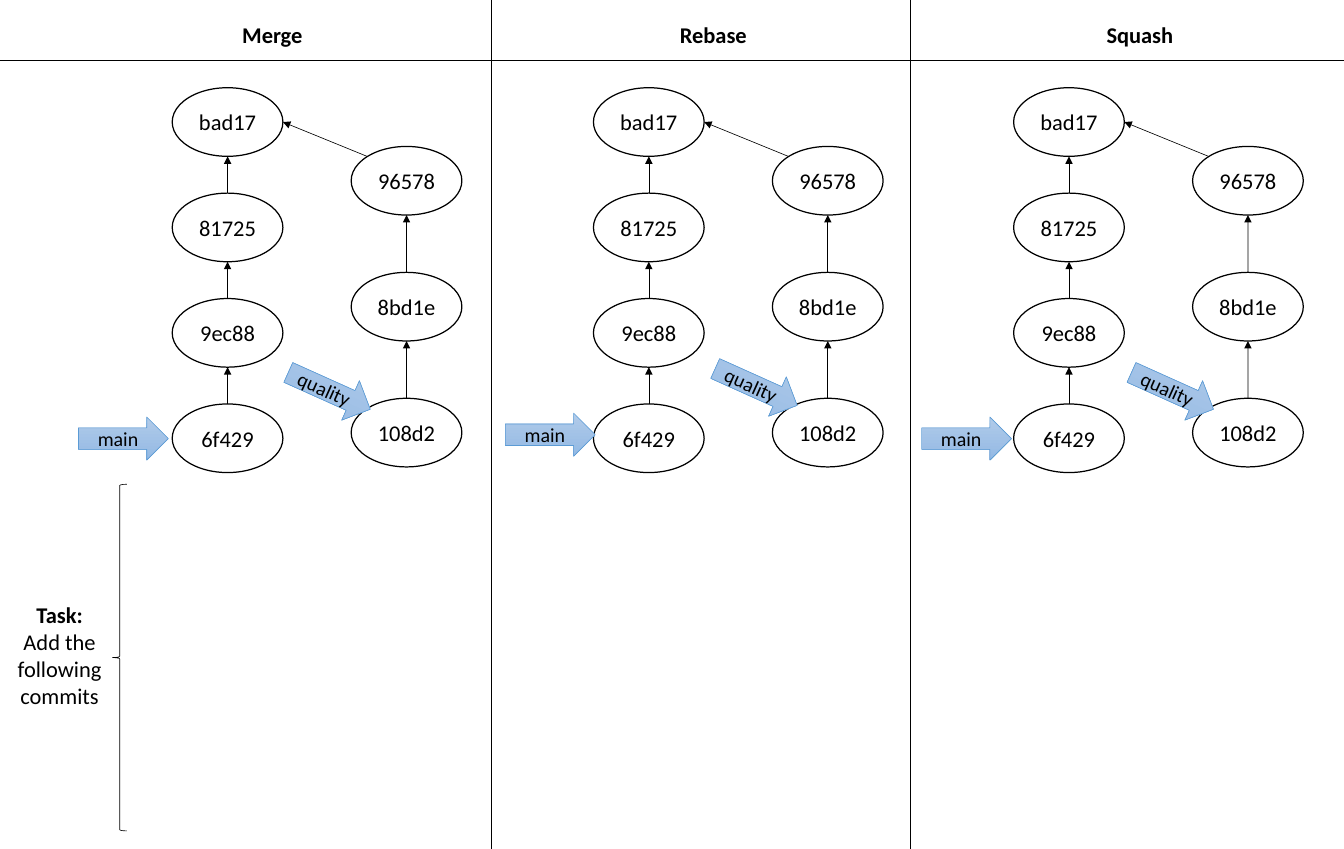
"""Build a slide comparing merge, rebase and squash on the same commit graph."""
from lxml.etree import SubElement
from pptx import Presentation
from pptx.dml.color import RGBColor
from pptx.enum.shapes import MSO_CONNECTOR, MSO_SHAPE
from pptx.enum.text import MSO_ANCHOR, PP_ALIGN
from pptx.oxml.ns import qn
from pptx.util import Cm, Pt

SLIDE_W, SLIDE_H = 38, 24
STRATEGIES = [
    {"name": "Merge", "name_x": 6.43, "graph_x": 4.87, "main_at": (2.22, 11.79)},
    {"name": "Rebase", "name_x": 18.9, "graph_x": 16.78, "main_at": (14.29, 11.68)},
    {"name": "Squash", "name_x": 30.96, "graph_x": 28.66, "main_at": (26.06, 11.79)},
]
MAIN_COMMITS = ["bad17", "81725", "9ec88", "6f429"]
QUALITY_COMMITS = ["96578", "8bd1e", "108d2"]
TASK = ["Task:", "Add the following commits"]

COMMIT_W, COMMIT_H = 3.13, 1.94
MAIN_TOP, MAIN_STEP = 2.48, 2.98
QUALITY_DX, QUALITY_TOP, QUALITY_STEP = 5.06, 4.14, 3.56
POINTER_W, POINTER_H = 2.54, 1.22
QUALITY_POINTER_DX, QUALITY_POINTER_DY = 5.82, -1.35
QUALITY_POINTER_TURN = 24.2
HEADER_LINE_Y = 1.7
COLUMN_LINES_X = [13.89, 25.73]
DIAGONAL_INSET = (1 - 0.5 ** 0.5) / 2


def colour(hex_string):
    return RGBColor.from_string(hex_string)


def write(shape, lines, size, bold_first=False):
    frame = shape.text_frame
    frame.text = "\n".join(lines)
    frame.word_wrap = True
    for number, paragraph in enumerate(frame.paragraphs):
        paragraph.alignment = PP_ALIGN.CENTER
        for run in paragraph.runs:
            run.font.name = "Calibri"
            run.font.size = Pt(size)
            run.font.bold = bold_first and number == 0
            run.font.color.rgb = colour("000000")


def add_label(shapes, lines, left, top, width, height):
    label = shapes.add_textbox(Cm(left), Cm(top), Cm(width), Cm(height))
    write(label, lines, 18, bold_first=True)


def add_outlined(shapes, kind, left, top, width, height, line="000000", weight=0.5):
    shape = shapes.add_shape(kind, Cm(left), Cm(top), Cm(width), Cm(height))
    shape.shadow.inherit = False
    shape.line.color.rgb = colour(line)
    shape.line.width = Pt(weight)
    return shape


def write_centred(shape, text, size):
    write(shape, [text], size)
    frame = shape.text_frame
    frame.vertical_anchor = MSO_ANCHOR.MIDDLE
    frame.margin_left = frame.margin_right = frame.margin_top = frame.margin_bottom = 0
    frame.word_wrap = False


def add_line(shapes, start, end, arrow=False):
    line = shapes.add_connector(MSO_CONNECTOR.STRAIGHT, *map(Cm, start + end))
    line.line.color.rgb = colour("000000")
    line.line.width = Pt(0.5)
    properties = line.line._get_or_add_ln()
    if arrow:
        SubElement(properties, qn("a:tailEnd"), type="triangle")
    SubElement(properties.getparent(), qn("a:effectLst"))
    return line


def add_branch(shapes, commits, left, top, step):
    ovals = []
    for number, commit in enumerate(commits):
        oval = add_outlined(shapes, MSO_SHAPE.OVAL, left, top + number * step,
                            COMMIT_W, COMMIT_H, weight=1)
        oval.fill.solid()
        oval.fill.fore_color.rgb = colour("FFFFFF")
        write_centred(oval, commit, 18)
        ovals.append(oval)
    middle = left + COMMIT_W / 2
    for number, child in enumerate(ovals[1:], 1):
        child_top = top + number * step
        parent_bottom = child_top - step + COMMIT_H
        link = add_line(shapes, (middle, child_top), (middle, parent_bottom), arrow=True)
        link.begin_connect(child, 0)


def add_graph(slide, left):
    shapes = slide.shapes.add_group_shape().shapes
    quality_left = left + QUALITY_DX
    add_branch(shapes, MAIN_COMMITS, left, MAIN_TOP, MAIN_STEP)
    add_branch(shapes, QUALITY_COMMITS, quality_left, QUALITY_TOP, QUALITY_STEP)
    fork = (quality_left + COMMIT_W * DIAGONAL_INSET, QUALITY_TOP + COMMIT_H * DIAGONAL_INSET)
    add_line(shapes, fork, (left + COMMIT_W, MAIN_TOP + COMMIT_H / 2), arrow=True)


def add_pointer(shapes, branch, left, top, turn=0):
    pointer = add_outlined(shapes, MSO_SHAPE.RIGHT_ARROW, left, top,
                           POINTER_W, POINTER_H, line="5B9BD5")
    pointer.rotation = turn
    pointer.fill.gradient()
    pointer.fill.gradient_angle = 270
    for stop, shade in zip(pointer.fill.gradient_stops, ("B1CBE9", "93B9E4")):
        stop.color.rgb = colour(shade)
    write_centred(pointer, branch, 16)


def main():
    deck = Presentation()
    deck.slide_width, deck.slide_height = Cm(SLIDE_W), Cm(SLIDE_H)
    slide = deck.slides.add_slide(deck.slide_layouts[6])
    shapes = slide.shapes

    add_line(shapes, (0, HEADER_LINE_Y), (SLIDE_W, HEADER_LINE_Y))
    for x in COLUMN_LINES_X:
        add_line(shapes, (x, 0), (x, SLIDE_H))

    for strategy in STRATEGIES:
        add_label(shapes, [strategy["name"]], strategy["name_x"], 0.46, 2.54, 1.03)
        add_graph(slide, strategy["graph_x"])
        left, top = strategy["main_at"]
        add_pointer(shapes, "main", left, top)
        add_pointer(shapes, "quality", left + QUALITY_POINTER_DX,
                    top + QUALITY_POINTER_DY, QUALITY_POINTER_TURN)

    brace = add_outlined(shapes, MSO_SHAPE.LEFT_BRACE, 3.18, 13.69, 0.41, 9.8)
    brace.fill.background()
    add_label(shapes, TASK, 0.15, 16.87, 3.07, 3.33)
    deck.save("out.pptx")


if __name__ == "__main__":
    main()
